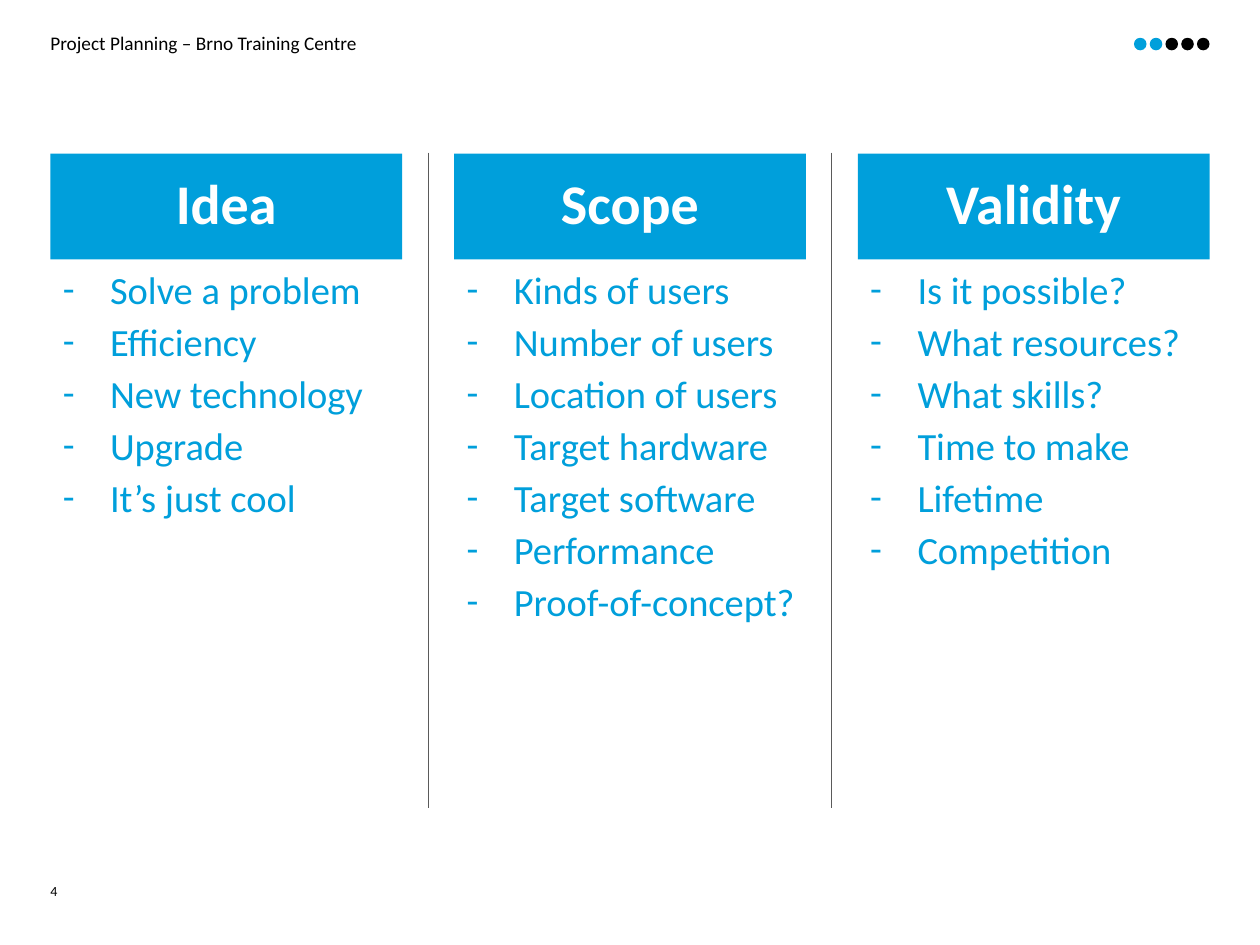
import pptx
import pptx.util
import pptx.dml.color
import pptx.enum.shapes
import pptx.enum.text
import pptx.oxml.ns
import lxml.etree

Pt = pptx.util.Pt
RGB = pptx.dml.color.RGBColor
Kind = pptx.enum.shapes.MSO_SHAPE
Align = pptx.enum.text.PP_ALIGN
Anchor = pptx.enum.text.MSO_ANCHOR
qn = pptx.oxml.ns.qn

TITLE = "Project Planning – Brno Training Centre"
PAGE = "4"
COLUMNS = [
    ("Idea", ["Solve a problem", "Efficiency", "New technology", "Upgrade",
              "It’s just cool"]),
    ("Scope", ["Kinds of users", "Number of users", "Location of users",
               "Target hardware", "Target software", "Performance",
               "Proof-of-concept?"]),
    ("Validity", ["Is it possible?", "What resources?", "What skills?",
                  "Time to make", "Lifetime", "Competition"]),
]
STEPS, DONE = 5, 2

BLUE = RGB(0x00, 0x9F, 0xDB)
BLACK = RGB(0, 0, 0)
WHITE = RGB(0xFF, 0xFF, 0xFF)
GREY = RGB(0x5A, 0x5A, 0x5A)
FONT = "Calibri"

WIDE, HIGH = 720, 540
EDGE = 28.8
COL = 201
GAP = (WIDE - 2 * EDGE - len(COLUMNS) * COL) / (len(COLUMNS) - 1)
DOT, PITCH = 7.2, 9
INDENT = 27

deck = pptx.Presentation()
deck.slide_width, deck.slide_height = Pt(WIDE), Pt(HIGH)
slide = deck.slides.add_slide(deck.slide_layouts[6])
shapes = slide.shapes


def add_mark(kind, left, top, width, height, fill):
    shape = shapes.add_shape(kind, Pt(left), Pt(top), Pt(width), Pt(height))
    shape.shadow.inherit = False
    shape.fill.solid()
    shape.fill.fore_color.rgb = fill
    shape.line.fill.background()
    return shape


def add_box(left, top, width, height):
    return shapes.add_textbox(Pt(left), Pt(top), Pt(width), Pt(height))


def add_dash(para):
    props = para._p.get_or_add_pPr()
    props.set("marL", str(Pt(INDENT)))
    props.set("indent", str(-Pt(INDENT)))
    color = lxml.etree.SubElement(props, qn("a:buClr"))
    lxml.etree.SubElement(color, qn("a:srgbClr"), val=str(BLUE))
    lxml.etree.SubElement(props, qn("a:buFont"), typeface=FONT)
    lxml.etree.SubElement(props, qn("a:buChar"), char="-")


def put_text(shape, lines, size, color, bold=False, align=Align.LEFT,
             anchor=Anchor.TOP, inset=(0, 0, 0, 0), space=None, after=0,
             dash=False):
    frame = shape.text_frame
    frame.word_wrap = True
    frame.vertical_anchor = anchor
    (frame.margin_left, frame.margin_top,
     frame.margin_right, frame.margin_bottom) = map(Pt, inset)
    for i, line in enumerate(lines):
        para = frame.add_paragraph() if i else frame.paragraphs[0]
        para.alignment = align
        para.line_spacing = space
        para.space_after = Pt(after)
        if dash:
            add_dash(para)
        run = para.add_run()
        run.text = line
        font = run.font
        font.name, font.size, font.bold = FONT, Pt(size), bold
        font.color.rgb = color


def add_rule(x):
    rule = shapes.add_connector(pptx.enum.shapes.MSO_CONNECTOR.STRAIGHT,
                                Pt(x), Pt(87.2), Pt(x), Pt(461.5))
    rule.line.color.rgb = GREY
    rule.line.width = Pt(0.5)
    lxml.etree.SubElement(rule._element.spPr, qn("a:effectLst"))


put_text(add_box(EDGE, 18, WIDE - 2 * EDGE, 14.4), [TITLE], 11, BLACK)
put_text(add_box(EDGE, 504, 17.3, 18), [PAGE], 8, BLACK, space=Pt(10))

for i, (head, items) in enumerate(COLUMNS):
    left = EDGE + i * (COL + GAP)
    if i:
        add_rule(left - GAP / 2)
    put_text(add_mark(Kind.RECTANGLE, left, 87.8, COL, 60.5, BLUE), [head],
             32, WHITE, bold=True, align=Align.CENTER, anchor=Anchor.MIDDLE,
             inset=(7.2,) * 4, space=0.9, after=6)
    put_text(add_box(left, 154.8, COL, 261.4), items, 22, BLUE,
             inset=(7.2, 0, 0, 0), space=0.9, after=6, dash=True)

for i in range(STEPS):
    left = WIDE - EDGE - DOT - (STEPS - 1 - i) * PITCH
    add_mark(Kind.OVAL, left, 21.6, DOT, DOT, BLUE if i < DONE else BLACK)

deck.save("out.pptx")
